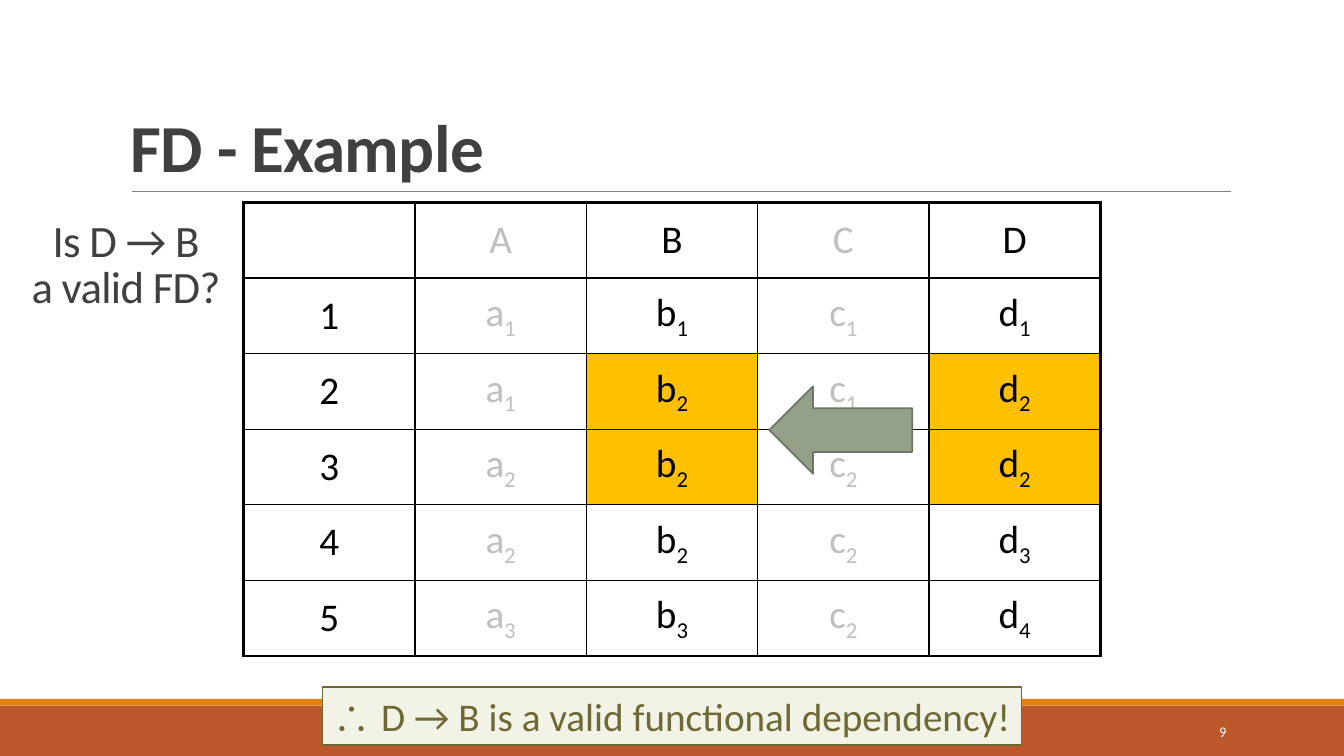
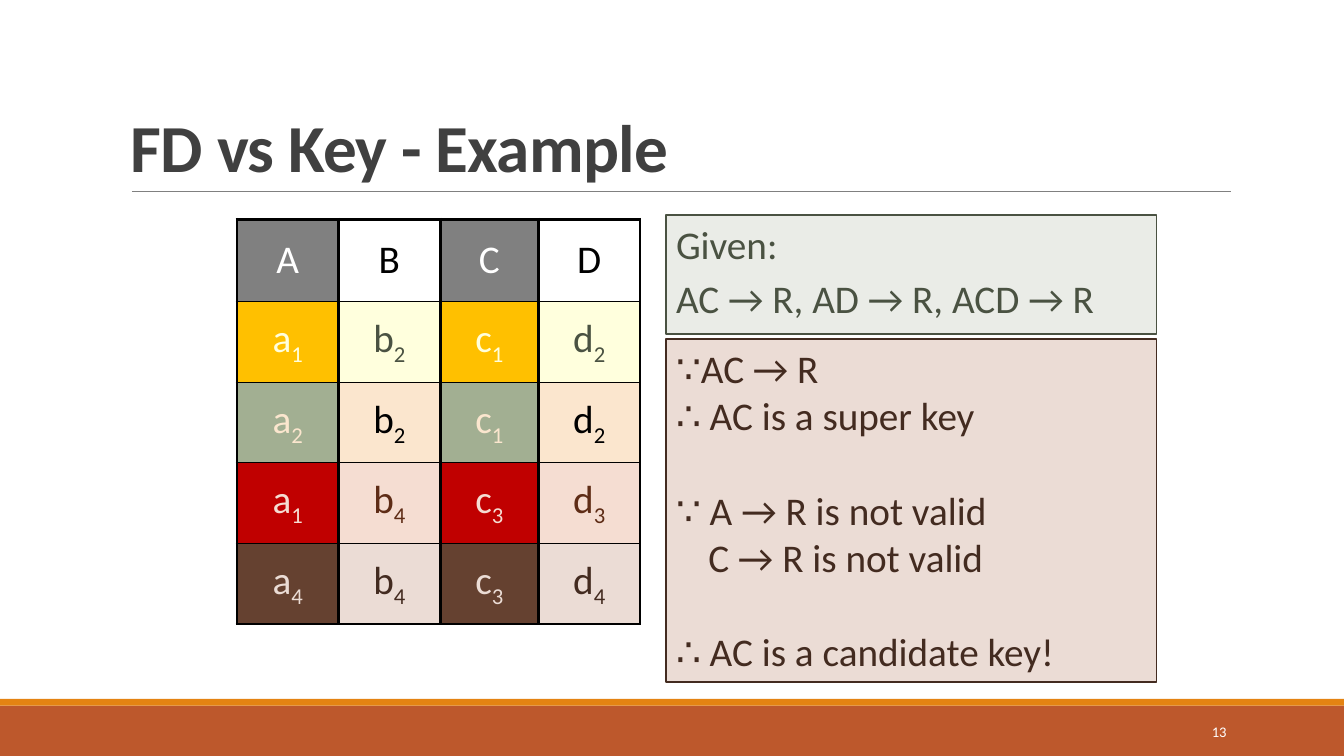
from lxml import etree
from pptx import Presentation
from pptx.dml.color import RGBColor
from pptx.enum.shapes import MSO_CONNECTOR, MSO_SHAPE
from pptx.enum.text import MSO_ANCHOR, PP_ALIGN
from pptx.oxml.ns import qn
from pptx.util import Inches, Pt

RECTANGLE, LEFT_ARROW = MSO_SHAPE.RECTANGLE, MSO_SHAPE.LEFT_ARROW
STRAIGHT = MSO_CONNECTOR.STRAIGHT
TOP, MIDDLE, BOTTOM = MSO_ANCHOR.TOP, MSO_ANCHOR.MIDDLE, MSO_ANCHOR.BOTTOM
LEFT, CENTER, RIGHT = PP_ALIGN.LEFT, PP_ALIGN.CENTER, PP_ALIGN.RIGHT

WHITE = RGBColor(0xFF, 0xFF, 0xFF)
BLACK = RGBColor(0x00, 0x00, 0x00)
CHARCOAL = RGBColor(0x40, 0x40, 0x40)
GREY = RGBColor(0x80, 0x80, 0x80)
MUTED = RGBColor(0xBF, 0xBF, 0xBF)
RUST = RGBColor(0xBD, 0x58, 0x2C)
ORANGE = RGBColor(0xE4, 0x83, 0x12)
AMBER = RGBColor(0xFF, 0xC0, 0x00)
SAGE = RGBColor(0x94, 0xA0, 0x88)
SAGE_EDGE = RGBColor(0x6D, 0x76, 0x65)
SAGE_LIGHT = RGBColor(0xA2, 0xAF, 0x92)
SAGE_PALE = RGBColor(0xEA, 0xEC, 0xE7)
SAGE_DARK = RGBColor(0x4A, 0x52, 0x42)
OLIVE = RGBColor(0x6D, 0x68, 0x34)
OLIVE_PALE = RGBColor(0xF3, 0xF2, 0xE6)
CREAM = RGBColor(0xFF, 0xFF, 0xDD)
PEACH = RGBColor(0xFB, 0xE6, 0xCE)
RED = RGBColor(0xC0, 0x00, 0x00)
ROSE = RGBColor(0xF5, 0xDD, 0xD2)
RUST_DARK = RGBColor(0x5E, 0x2C, 0x16)
BROWN = RGBColor(0x65, 0x41, 0x30)
BROWN_PALE = RGBColor(0xEB, 0xDC, 0xD5)
BROWN_DARK = RGBColor(0x43, 0x2B, 0x20)

# The slide is a grid of 160 columns by 90 rows of square units.
UNIT = Inches(1) // 12
THIN, THICK = Pt(1), Pt(2.25)
TIGHT = {"spc": "-50"}
SUBSCRIPT = {"baseline": "-25000"}


def add_box(slide, box, shape_type=None, fill=None, line=None):
    """Add a preset shape, or a text box when no shape type is given."""
    place = [round(length * UNIT) for length in box]
    if shape_type is None:
        return slide.shapes.add_textbox(*place)
    shape = slide.shapes.add_shape(shape_type, *place)
    shape.shadow.inherit = False
    shape.fill.solid()
    shape.fill.fore_color.rgb = fill
    if line is None:
        shape.line.fill.background()
    else:
        shape.line.color.rgb = line
        shape.line.width = Pt(1.25)
    return shape


def write(text_frame, lines, size, colour, anchor=TOP, bold=False, attributes=None,
          **paragraph_format):
    """Fill a frame; a line is a string or a list of (text, changes) runs."""
    text_frame.word_wrap = True
    text_frame.vertical_anchor = anchor
    for index, line in enumerate(lines):
        paragraph = text_frame.add_paragraph() if index else text_frame.paragraphs[0]
        for name, value in paragraph_format.items():
            setattr(paragraph, name, value)
        for text, changes in [(line, {})] if isinstance(line, str) else line:
            if text == "\n":
                paragraph.add_line_break()
                continue
            run = paragraph.add_run()
            run.text = text
            run.font.color.rgb = colour
            font_format = {"name": "Calibri", "size": Pt(size), "bold": bold}
            for name, value in font_format.items():
                setattr(run.font, name, value)
            for name, value in {**(attributes or {}), **changes}.items():
                if name == "name":
                    run.font.name = value
                else:
                    run.font._element.set(name, value)


presentation = Presentation()
presentation.slide_width = 160 * UNIT
presentation.slide_height = 90 * UNIT

# Shared frame: bands, rule, title and slide number
for title, number in [("FD - Example", "9"), ("FD vs Key - Example", "13")]:
    slide = presentation.slides.add_slide(presentation.slide_layouts[6])
    add_box(slide, (0, 84, 160, 6), RECTANGLE, RUST)
    add_box(slide, (0, 83.2, 160, 0.8), RECTANGLE, ORANGE)
    rule_ends = [round(length * UNIT) for length in (15.7, 22.8, 146.5, 22.8)]
    rule = slide.shapes.add_connector(STRAIGHT, *rule_ends)
    rule.line.color.rgb = GREY
    rule.line.width = Pt(0.5)
    etree.SubElement(rule._element.spPr, qn("a:effectLst"))
    write(add_box(slide, (14.4, 3.7, 132, 19.1)).text_frame, [title], 48, CHARCOAL,
          BOTTOM, True, TIGHT, alignment=LEFT, line_spacing=0.85)
    write(add_box(slide, (130, 84.7, 17.2, 4.8)).text_frame, [number], 10.5, WHITE,
          MIDDLE, alignment=RIGHT)
example_slide, key_slide = presentation.slides

# Table cells as (label, text colour, fill)
example_rows = [
    ["", "A", "B", "C", "D"],
    ["1", "a1", "b1", "c1", "d1"],
    ["2", "a1", "b2", "c1", "d2"],
    ["3", "a2", "b2", "c2", "d2"],
    ["4", "a2", "b2", "c2", "d3"],
    ["5", "a3", "b3", "c2", "d4"],
]
example_cells = [
    [(label,
      MUTED if column in (1, 3) else BLACK,
      AMBER if row in (2, 3) and column in (2, 4) else None)
     for column, label in enumerate(labels)]
    for row, labels in enumerate(example_rows)
]
# Key columns A and C carry the strong colour, the others the pale one.
key_rows = [
    (["A", "B", "C", "D"], GREY, WHITE, BLACK),
    (["a1", "b2", "c1", "d2"], AMBER, CREAM, SAGE_DARK),
    (["a2", "b2", "c1", "d2"], SAGE_LIGHT, PEACH, BLACK),
    (["a1", "b4", "c3", "d3"], RED, ROSE, RUST_DARK),
    (["a4", "b4", "c3", "d4"], BROWN, BROWN_PALE, BROWN_DARK),
]
key_cells = [
    [(label, dark, pale) if column % 2 else (label, pale, strong)
     for column, label in enumerate(labels)]
    for labels, strong, pale, dark in key_rows
]

tables = [
    (example_slide, 29, 24.1, [20.4] * 5, [9] * 6, example_cells, THIN),
    (key_slide, 28.2, 26.1, [12.1, 12.1, 11.7, 12.1], [9.8] + [9.6] * 4, key_cells, THICK),
]
for slide, left, top, widths, heights, cells, inner_vertical in tables:
    place = [round(length * UNIT) for length in (left, top, sum(widths), sum(heights))]
    table = slide.shapes.add_table(len(heights), len(widths), *place).table
    table.first_row = table.horz_banding = False
    for column, width in zip(table.columns, widths):
        column.width = round(width * UNIT)
    last_row, last_column = len(heights) - 1, len(widths) - 1
    for row, height in enumerate(heights):
        table.rows[row].height = round(height * UNIT)
        for column, (label, colour, fill) in enumerate(cells[row]):
            cell = table.cell(row, column)
            borders = {
                "a:lnL": THICK if column == 0 else inner_vertical,
                "a:lnR": THICK if column == last_column else inner_vertical,
                "a:lnT": THICK if row == 0 else THIN,
                "a:lnB": THICK if row == last_row else THIN,
            }
            properties = cell._tc.get_or_add_tcPr()
            for tag, line_width in borders.items():
                border = etree.SubElement(properties, qn(tag), w=str(int(line_width)))
                border_fill = etree.SubElement(border, qn("a:solidFill"))
                etree.SubElement(border_fill, qn("a:srgbClr"), val=str(BLACK))
            if fill is None:
                cell.fill.background()
            else:
                cell.fill.solid()
                cell.fill.fore_color.rgb = fill
            cell.vertical_anchor = MIDDLE
            if label:
                runs = [(label[0], {})] + [(digit, SUBSCRIPT) for digit in label[1:]]
                write(cell.text_frame, [runs], 28, colour, MIDDLE, alignment=CENTER)

# FD - Example
add_box(example_slide, (91.6, 46, 17, 10.4), LEFT_ARROW, SAGE, SAGE_EDGE)
conclusion = add_box(example_slide, (38.4, 81.8, 83.2, 6.9), RECTANGLE, OLIVE_PALE, OLIVE)
write(conclusion.text_frame,
      [[("∴ ", {"name": "Times New Roman"}),
        ("D → B is a valid functional dependency!", {})]],
      28, OLIVE, alignment=LEFT)
question = add_box(example_slide, (0, 24.1, 30, 13.7))
write(question.text_frame, [[("Is D → B", {}), ("\n", {}), ("a valid FD?", {})]],
      32, CHARCOAL, BOTTOM, attributes=TIGHT, alignment=CENTER, line_spacing=0.85)

# FD vs Key - Example
given = add_box(key_slide, (79.3, 25.6, 58.4, 14.2), RECTANGLE, SAGE_PALE, SAGE_DARK)
write(given.text_frame, ["Given:", "AC → R, AD → R, ACD → R"], 28, SAGE_DARK,
      alignment=LEFT)
given.text_frame.paragraphs[1].space_before = Pt(5)

reasoning = add_box(key_slide, (79.3, 40.4, 58.4, 40.8), RECTANGLE, BROWN_PALE, BROWN_DARK)
write(reasoning.text_frame,
      ["∵AC → R", "∴ AC is a super key", "∵ A → R is not valid",
       "C → R is not valid", "∴ AC is a candidate key!"],
      28, BROWN_DARK, alignment=LEFT)
paragraphs = reasoning.text_frame.paragraphs
for paragraph in (paragraphs[2], paragraphs[4]):
    paragraph.space_before = Pt(34)
paragraphs[3]._p.get_or_add_pPr().set("marL", str(Inches(0.32)))

presentation.save("out.pptx")
